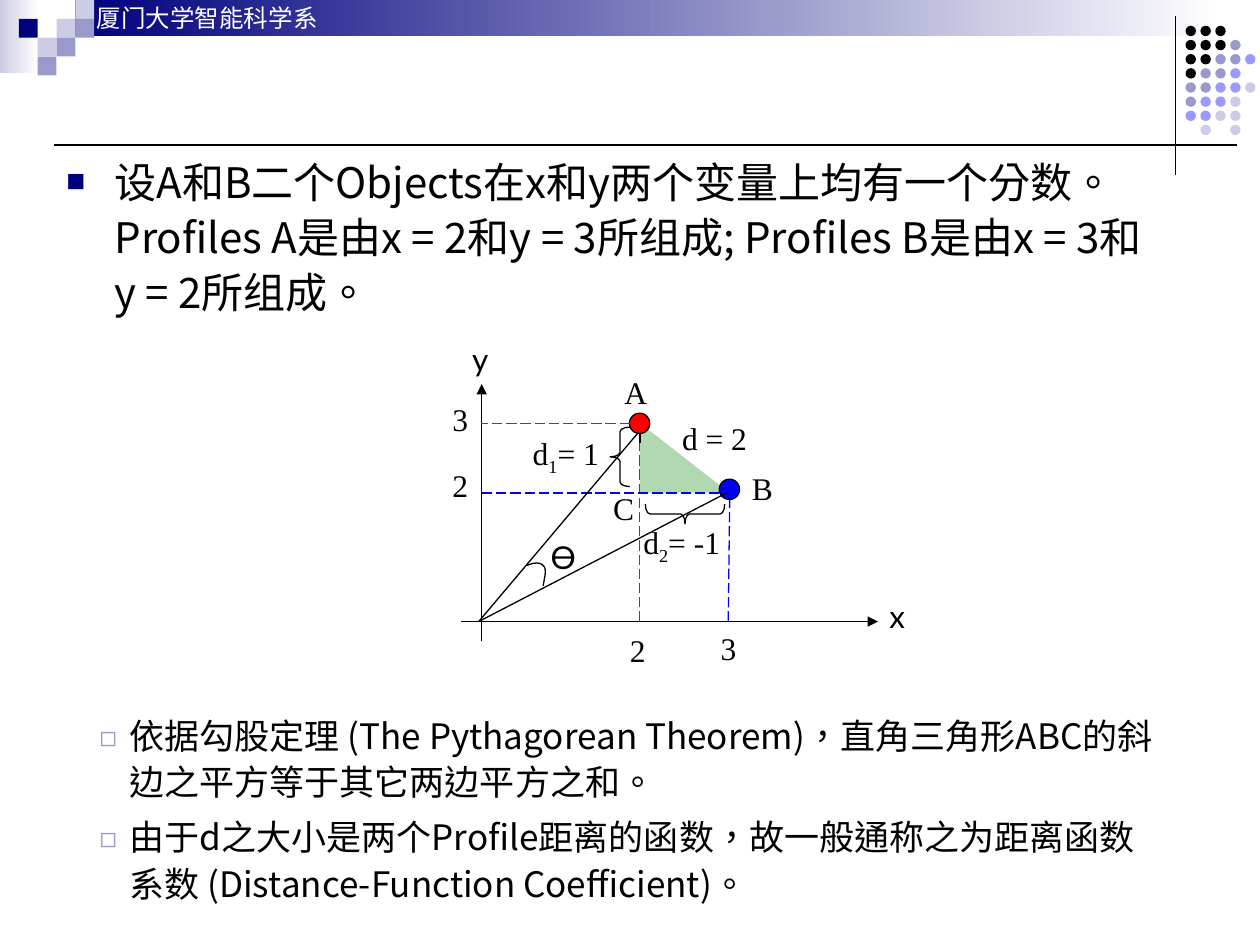
from dataclasses import dataclass

from lxml.etree import SubElement
from pptx import Presentation
from pptx.dml.color import RGBColor
from pptx.enum.dml import MSO_LINE
from pptx.enum.shapes import MSO_CONNECTOR, MSO_SHAPE
from pptx.enum.text import MSO_AUTO_SIZE
from pptx.oxml.ns import qn
from pptx.util import Cm, Pt


@dataclass(frozen=True)
class Theme:
    navy: str = "00007D"
    lilac: str = "9999CC"
    pale: str = "CCCCE6"
    violet: str = "9999FF"
    black: str = "000000"
    white: str = "FFFFFF"
    red: str = "FF0000"
    blue: str = "0000FF"
    green: str = "008000"
    chinese: str = "Noto Sans CJK SC"
    sans: str = "Lato"
    serif: str = "Times New Roman"
    header: int = 14
    body: int = 24
    detail: int = 20
    label: int = 18
    hairline: float = 0.75


theme = Theme()
color = RGBColor.from_string

deck = Presentation()
deck.slide_width, deck.slide_height = Cm(25.4), Cm(19.05)
page = deck.slides.add_slide(deck.slide_layouts[6])


def add_figure(kind, left, top, width, height, fill=None, line=None):
    """Add a preset shape; a tuple as fill makes a left-to-right gradient."""
    figure = page.shapes.add_shape(kind, Cm(left), Cm(top), Cm(width), Cm(height))
    figure.shadow.inherit = False
    if isinstance(fill, tuple):
        figure.fill.gradient()
        figure.fill.gradient_angle = 0
        for stop, (position, tint) in zip(figure.fill.gradient_stops, enumerate(fill)):
            stop.position, stop.color.rgb = position, color(tint)
    elif fill:
        figure.fill.solid()
        figure.fill.fore_color.rgb = color(fill)
    else:
        figure.fill.background()
    if line:
        figure.line.color.rgb, figure.line.width = color(line), Pt(theme.hairline)
    else:
        figure.line.fill.background()
    return figure


def add_text(place, paragraphs, font, size, tint=theme.black, wrap=False, bullet=None, layout=None):
    """Add a text box; each paragraph is a list of (text, baseline) spans."""
    box = page.shapes.add_textbox(*map(Cm, place))
    box.text_frame.word_wrap = wrap
    box.text_frame.auto_size = MSO_AUTO_SIZE.NONE if wrap else MSO_AUTO_SIZE.SHAPE_TO_FIT_TEXT
    for index, spans in enumerate(paragraphs):
        para = box.text_frame.paragraphs[0] if index == 0 else box.text_frame.add_paragraph()
        for name, value in (layout or {}).items():
            if name != "space_before" or index:
                setattr(para, name, value)
        if bullet:
            properties = para._p.get_or_add_pPr()
            properties.set("marL", str(Cm(bullet["margin"])))
            properties.set("indent", str(-Cm(bullet["hanging"])))
            SubElement(SubElement(properties, qn("a:buClr")), qn("a:srgbClr"), val=bullet["tint"])
            SubElement(properties, qn("a:buSzPct"), val=bullet["percent"])
            SubElement(properties, qn("a:buFont"), typeface=bullet["font"])
            SubElement(properties, qn("a:buChar"), char=bullet["mark"])
        for text, baseline in spans:
            span = para.add_run()
            span.text = text
            for name, value in {"name": font, "size": Pt(size)}.items():
                setattr(span.font, name, value)
            span.font.color.rgb = color(tint)
            properties = span._r.get_or_add_rPr()
            properties.set("lang", "zh-TW")  # centred full-width punctuation
            SubElement(properties, qn("a:ea"), typeface=font)
            if baseline:
                properties.set("baseline", baseline)


# Header bands and mosaic of squares
add_figure(MSO_SHAPE.RECTANGLE, 0, 0, 0.79, 1.48, (theme.pale, theme.white))
add_figure(MSO_SHAPE.RECTANGLE, 1.52, 0, 23.17, 0.72, (theme.navy, theme.white))
square = 0.38
mosaic = [(3, 1, theme.pale), (4, 0, theme.pale), (4, 1, theme.lilac), (2, 2, theme.pale),
          (1, 1, theme.navy), (3, 2, theme.lilac), (2, 3, theme.lilac)]
for column, row, tint in mosaic:
    add_figure(MSO_SHAPE.RECTANGLE, column * square, row * square, square, square, tint)
add_text((1.7, -0.06, 21.62, 0.86), [[("厦门大学智能科学系", None)]],
         theme.chinese, theme.header, theme.white, wrap=True)

# Dot pattern in the corner
dot_tints = {"k": theme.black, "l": theme.lilac, "v": theme.violet, "p": theme.pale}
dot_rows = ["kkk", "kkkl", "kkllv", "kllv", "llvvp", "lvvp", "vvpp", " p p"]
for row, marks in enumerate(dot_rows):
    for column, mark in enumerate(marks):
        if mark in dot_tints:
            add_figure(MSO_SHAPE.OVAL, 23.9 + 0.3 * column, 0.52 + 0.285 * row,
                       0.21, 0.21, dot_tints[mark])

# Body text
add_text((1.09, 2.92, 22.61, 4),
         [[("设A和B二个Objects在x和y两个变量上均有一个分数。Profiles A是由x = 2和y = 3所组成; "
            "Profiles B是由x = 3和y = 2所组成。", None)]],
         theme.chinese, theme.body, wrap=True, layout={"line_spacing": 1.1},
         bullet={"margin": 0.97, "hanging": 0.97, "tint": theme.navy, "percent": "75000",
                 "mark": "■", "font": theme.serif})
add_text((1.09, 14.2, 22.61, 4.3),
         [[("依据勾股定理 (The Pythagorean Theorem)，直角三角形ABC的斜边之平方等于其它两边平方之和。", None)],
          [("由于d之大小是两个Profile距离的函数，故一般通称之为距离函数系数 "
            "(Distance-Function Coefficient)。", None)]],
         theme.chinese, theme.detail, wrap=True,
         layout={"line_spacing": 1.1, "space_before": Pt(5)},
         bullet={"margin": 1.27, "hanging": 0.6, "tint": theme.lilac, "percent": "80000",
                 "mark": "◻", "font": theme.chinese})

# Triangle, points and braces
triangle = add_figure(MSO_SHAPE.RIGHT_TRIANGLE, 12.9, 8.53, 1.8, 1.4, theme.green)
SubElement(triangle.fill._xPr.find(".//" + qn("a:srgbClr")), qn("a:alpha"), val="30000")
for left, top, tint in [(12.69, 8.33, theme.red), (14.5, 9.66, theme.blue)]:
    add_figure(MSO_SHAPE.OVAL, left, top, 0.41, 0.41, tint, theme.black)
for left, top, height, turn in [(12.3, 8.61, 1.2, 0), (13.61, 9.56, 1.6, 270)]:
    brace = add_figure(MSO_SHAPE.LEFT_BRACE, left, top, 0.4, height, line=theme.black)
    brace.adjustments[0] = 0.23
    brace.rotation = turn

# Rules, axes, projections and vectors: start, end, tint, width, dashed, arrow
thin = theme.hairline
lines = [
    ((23.7, 0.33), (23.7, 3.53), theme.black, thin, False, False),
    ((24.94, 2.92), (1.09, 2.92), theme.black, 1, False, False),
    ((9.71, 12.93), (9.71, 7.74), theme.black, thin, False, True),
    ((9.3, 12.53), (17.7, 12.53), theme.black, thin, False, True),
    ((12.89, 12.53), (12.89, 8.74), theme.red, thin, True, False),
    ((12.7, 8.54), (9.7, 8.54), theme.red, thin, True, False),
    ((14.68, 12.53), (14.71, 10.07), theme.blue, thin, True, False),
    ((14.5, 9.94), (9.7, 9.94), theme.blue, thin, True, False),
    ((12.9, 8.94), (12.9, 8.74), theme.black, thin, False, False),
    ((12.85, 8.74), (9.65, 12.53), theme.black, thin, False, False),
    ((9.65, 12.53), (14.66, 9.93), theme.black, thin, False, False),
]
for start, end, tint, width, dashed, arrow in lines:
    line = page.shapes.add_connector(MSO_CONNECTOR.STRAIGHT, *map(Cm, start + end))
    line.line.color.rgb, line.line.width = color(tint), Pt(width)
    if dashed:
        line.line.dash_style = MSO_LINE.LONG_DASH
    if arrow:
        SubElement(line.line._get_or_add_ln(), qn("a:tailEnd"), type="triangle")
    SubElement(line._element.spPr, qn("a:effectLst"))

# Angle mark: two cubic curves sampled into short segments
curves = [((10.62, 11.4), (10.74, 11.35), (10.87, 11.32), (10.95, 11.4)),
          ((10.95, 11.4), (11.03, 11.46), (10.98, 11.63), (10.95, 11.81))]
steps = 8
points = []
for knots in curves:
    for step in range(1, steps + 1):
        t = step / steps
        weights = ((1 - t) ** 3, 3 * t * (1 - t) ** 2, 3 * t ** 2 * (1 - t), t ** 3)
        points.append(tuple(Cm(sum(w * knot[axis] for w, knot in zip(weights, knots)))
                            for axis in (0, 1)))
builder = page.shapes.build_freeform(*map(Cm, curves[0][0]))
builder.add_line_segments(points, close=False)
angle = builder.convert_to_shape()
angle.shadow.inherit = False
angle.fill.background()
angle.line.color.rgb, angle.line.width = color(theme.black), Pt(thin)

# Labels: left, top, width, font, spans
labels = [
    (17.68, 11.92, 0.84, theme.sans, [("x", None)]),
    (9.27, 6.74, 0.84, theme.sans, [("y", None)]),
    (10.85, 10.72, 0.99, theme.sans, [("Ө", None)]),
    (12.45, 12.6, 0.81, theme.serif, [("2", None)]),
    (14.28, 12.55, 0.81, theme.serif, [("3", None)]),
    (8.87, 7.94, 0.81, theme.serif, [("3", None)]),
    (8.87, 9.27, 0.81, theme.serif, [("2", None)]),
    (12.34, 7.4, 0.97, theme.serif, [("A", None)]),
    (14.91, 9.34, 0.91, theme.serif, [("B", None)]),
    (12.11, 9.74, 0.91, theme.serif, [("C", None)]),
    (13.5, 8.33, 1.9, theme.serif, [("d = 2", None)]),
    (10.49, 8.62, 1.95, theme.serif, [("d", None), ("1", "-25000"), ("= 1", None)]),
    (12.72, 10.42, 2.1, theme.serif, [("d", None), ("2", "-25000"), ("= -1", None)]),
]
for left, top, width, font, spans in labels:
    add_text((left, top, width, 1.02), [spans], font, theme.label)

deck.save("out.pptx")
